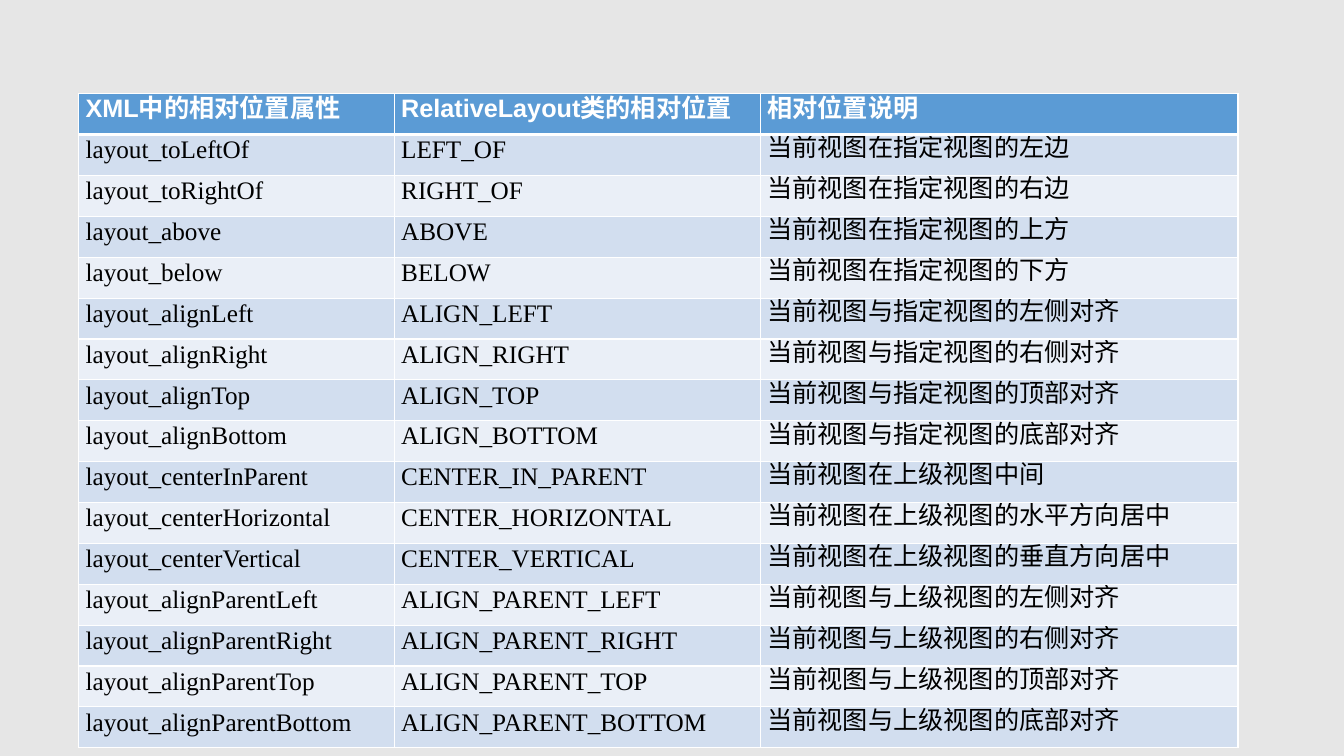
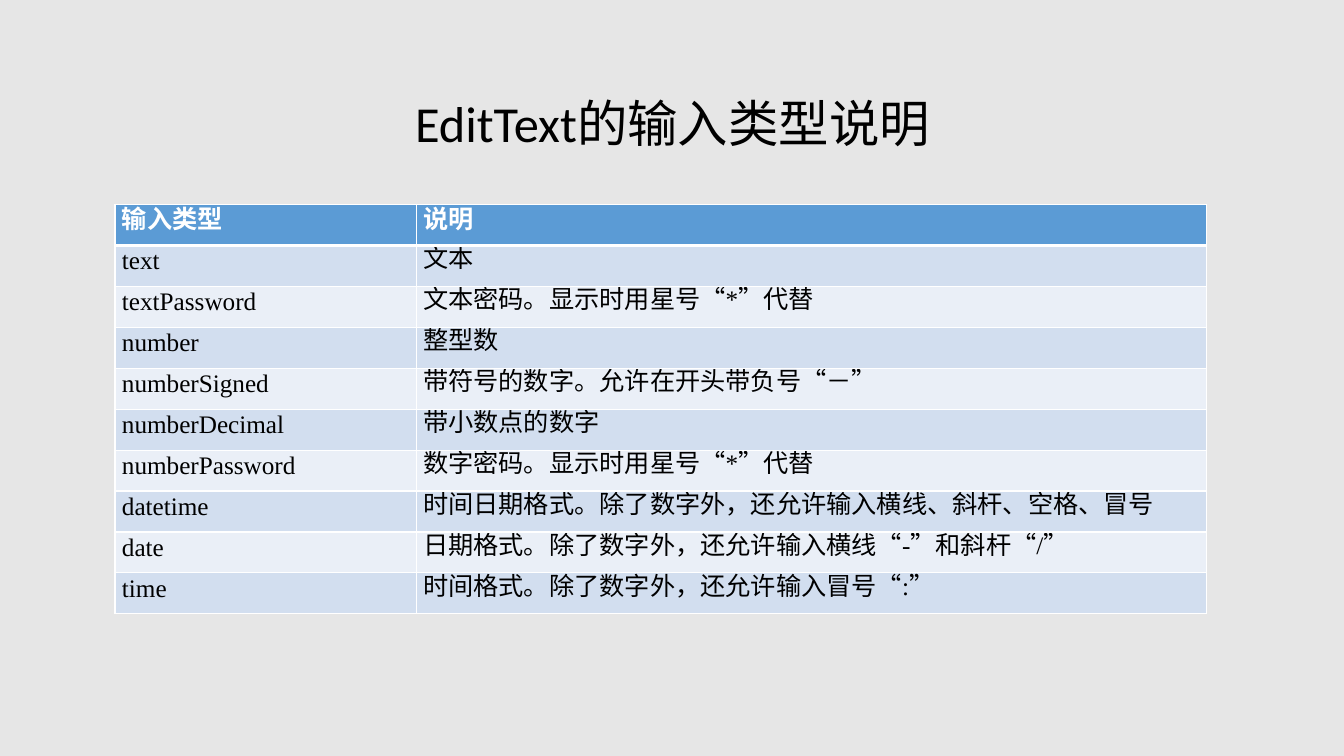
from lxml import etree
from pptx import Presentation
from pptx.dml.color import RGBColor
from pptx.enum.lang import MSO_LANGUAGE_ID as LANG
from pptx.enum.text import MSO_ANCHOR as ANCHOR, PP_ALIGN as ALIGN
from pptx.oxml.ns import qn
from pptx.util import Inches, Pt

BACKGROUND, WHITE, BLACK = "E6E6E6", "FFFFFF", "000000"
HEADER_FILL, BAND_FILLS = "5B9BD5", ("D2DEEF", "EAEFF7")
THIN, THICK = 1, 3

TITLE = {
    "font": {"size": Pt(36), "name": "Calibri"},
    "paragraph": {"alignment": ALIGN.CENTER, "line_spacing": 0.9},
    "color": BLACK,
}
HEADER = {
    "font": {"size": Pt(18), "name": "Arial", "bold": True},
    "paragraph": {"alignment": ALIGN.JUSTIFY, "line_spacing": Pt(15.6)},
    "color": WHITE,
}
BODY = {
    "font": {"size": Pt(18), "name": "Times New Roman", "bold": False},
    "paragraph": {"line_spacing": Pt(13)},
    "color": BLACK,
}
CELL_FORMAT = {
    "vertical_anchor": ANCHOR.MIDDLE,
    "margin_left": Inches(0.07),
    "margin_right": Inches(0.07),
    "margin_top": 0,
    "margin_bottom": 0,
}

POSITION_ROWS = [
    ("XML中的相对位置属性", "RelativeLayout类的相对位置", "相对位置说明"),
    ("layout_toLeftOf", "LEFT_OF", "当前视图在指定视图的左边"),
    ("layout_toRightOf", "RIGHT_OF", "当前视图在指定视图的右边"),
    ("layout_above", "ABOVE", "当前视图在指定视图的上方"),
    ("layout_below", "BELOW", "当前视图在指定视图的下方"),
    ("layout_alignLeft", "ALIGN_LEFT", "当前视图与指定视图的左侧对齐"),
    ("layout_alignRight", "ALIGN_RIGHT", "当前视图与指定视图的右侧对齐"),
    ("layout_alignTop", "ALIGN_TOP", "当前视图与指定视图的顶部对齐"),
    ("layout_alignBottom", "ALIGN_BOTTOM", "当前视图与指定视图的底部对齐"),
    ("layout_centerInParent", "CENTER_IN_PARENT", "当前视图在上级视图中间"),
    ("layout_centerHorizontal", "CENTER_HORIZONTAL", "当前视图在上级视图的水平方向居中"),
    ("layout_centerVertical", "CENTER_VERTICAL", "当前视图在上级视图的垂直方向居中"),
    ("layout_alignParentLeft", "ALIGN_PARENT_LEFT", "当前视图与上级视图的左侧对齐"),
    ("layout_alignParentRight", "ALIGN_PARENT_RIGHT", "当前视图与上级视图的右侧对齐"),
    ("layout_alignParentTop", "ALIGN_PARENT_TOP", "当前视图与上级视图的顶部对齐"),
    ("layout_alignParentBottom", "ALIGN_PARENT_BOTTOM", "当前视图与上级视图的底部对齐"),
]
INPUT_TYPE_ROWS = [
    ("输入类型", "说明"),
    ("text", "文本"),
    ("textPassword", "文本密码。显示时用星号“*”代替"),
    ("number", "整型数"),
    ("numberSigned", "带符号的数字。允许在开头带负号“－”"),
    ("numberDecimal", "带小数点的数字"),
    ("numberPassword", "数字密码。显示时用星号“*”代替"),
    ("datetime", "时间日期格式。除了数字外，还允许输入横线、斜杆、空格、冒号"),
    ("date", "日期格式。除了数字外，还允许输入横线“-”和斜杆“/”"),
    ("time", "时间格式。除了数字外，还允许输入冒号“:”"),
]


def set_all(obj, values):
    for name, value in values.items():
        setattr(obj, name, value)


def paint(fill, color):
    fill.solid()
    fill.fore_color.rgb = RGBColor.from_string(color)


def write(tf, text, style):
    p = tf.paragraphs[0]
    set_all(p, style["paragraph"])
    r = p.add_run()
    r.text = text
    set_all(r.font, style["font"])
    r.font.language_id = LANG.SIMPLIFIED_CHINESE
    paint(r.font.fill, style["color"])


def add_borders(cell, top, bottom):
    """Draw white cell edges; must run before the cell is filled."""
    tc_pr = cell._tc.get_or_add_tcPr()
    for side, width in (("L", THIN), ("R", THIN), ("T", top), ("B", bottom)):
        ln = etree.SubElement(tc_pr, qn(f"a:ln{side}"), w=str(Pt(width)))
        fill = etree.SubElement(ln, qn("a:solidFill"))
        etree.SubElement(fill, qn("a:srgbClr"), val=WHITE)


def add_banded_table(s, box, col_shares, rows):
    """Fill the box with equal rows and columns sized by their shares."""
    left, top, width, height = map(Inches, box)
    table = s.shapes.add_table(len(rows), len(col_shares), left, top, width, height).table
    for col, share in zip(table.columns, col_shares):
        col.width = int(width * share / sum(col_shares))
    for i, texts in enumerate(rows):
        table.rows[i].height = int(height / len(rows))
        color = BAND_FILLS[(i - 1) % 2] if i else HEADER_FILL
        for j, text in enumerate(texts):
            cell = table.cell(i, j)
            set_all(cell, CELL_FORMAT)
            add_borders(cell, THICK if i == 1 else THIN, THIN if i else THICK)
            paint(cell.fill, color)
            write(cell.text_frame, text, BODY if i else HEADER)


def add_title(s, box, text):
    tf = s.shapes.add_textbox(*map(Inches, box)).text_frame
    set_all(tf, {"word_wrap": True, "vertical_anchor": ANCHOR.MIDDLE})
    write(tf, text, TITLE)


def add_slide(prs):
    s = prs.slides.add_slide(prs.slide_layouts[6])
    paint(s.background.fill, BACKGROUND)
    return s


def main():
    prs = Presentation()
    set_all(prs, {"slide_width": Inches(13.33), "slide_height": Inches(7.5)})

    s = add_slide(prs)
    add_banded_table(s, (0.78, 0.93, 11.5, 6.49), (3.13, 3.63, 4.74), POSITION_ROWS)

    s = add_slide(prs)
    add_title(s, (0.92, 0.53, 11.5, 1.45), "EditText的输入类型说明")
    add_banded_table(s, (1.14, 2.03, 10.83, 4.06), (2.99, 7.85), INPUT_TYPE_ROWS)

    prs.save("out.pptx")


if __name__ == "__main__":
    main()
